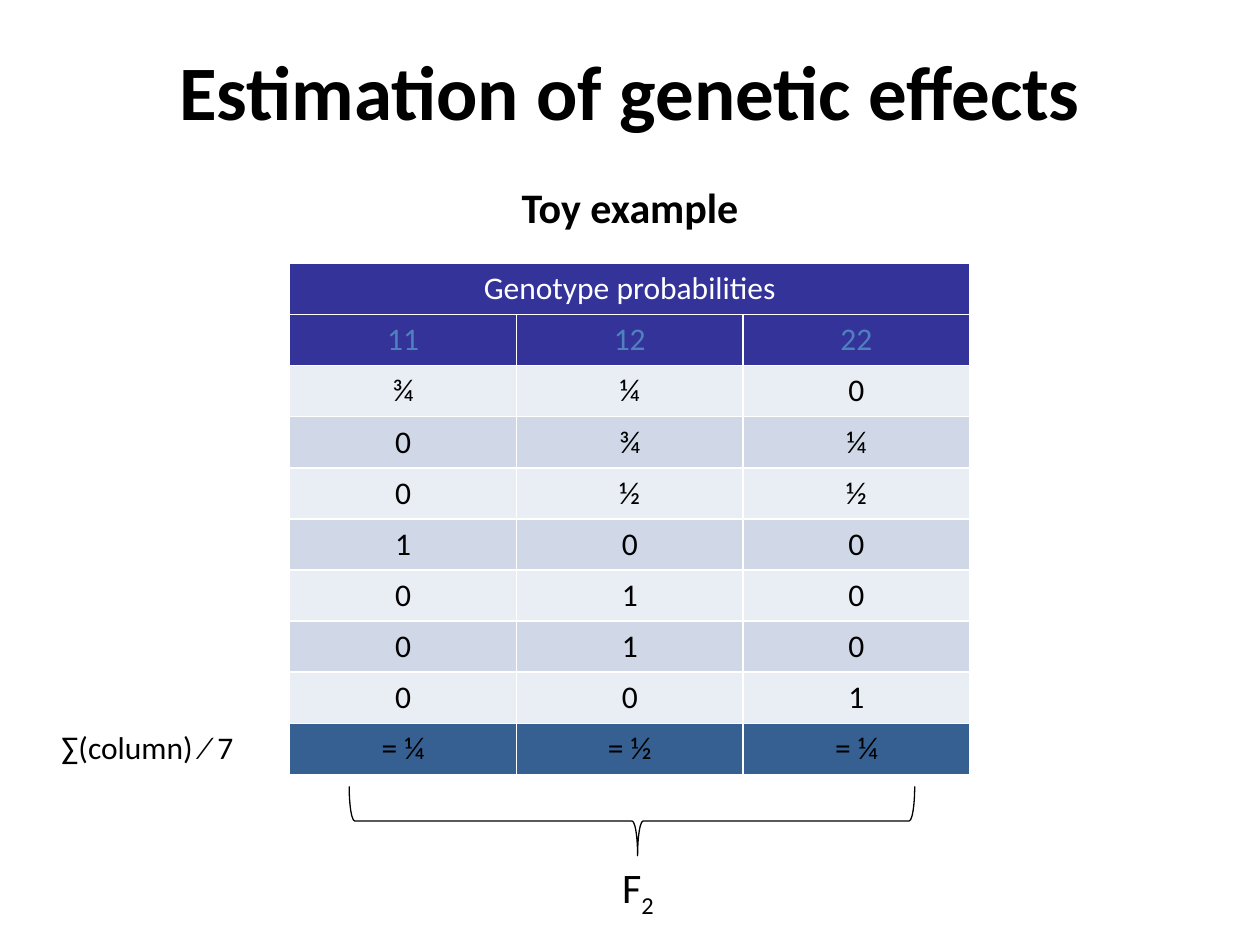
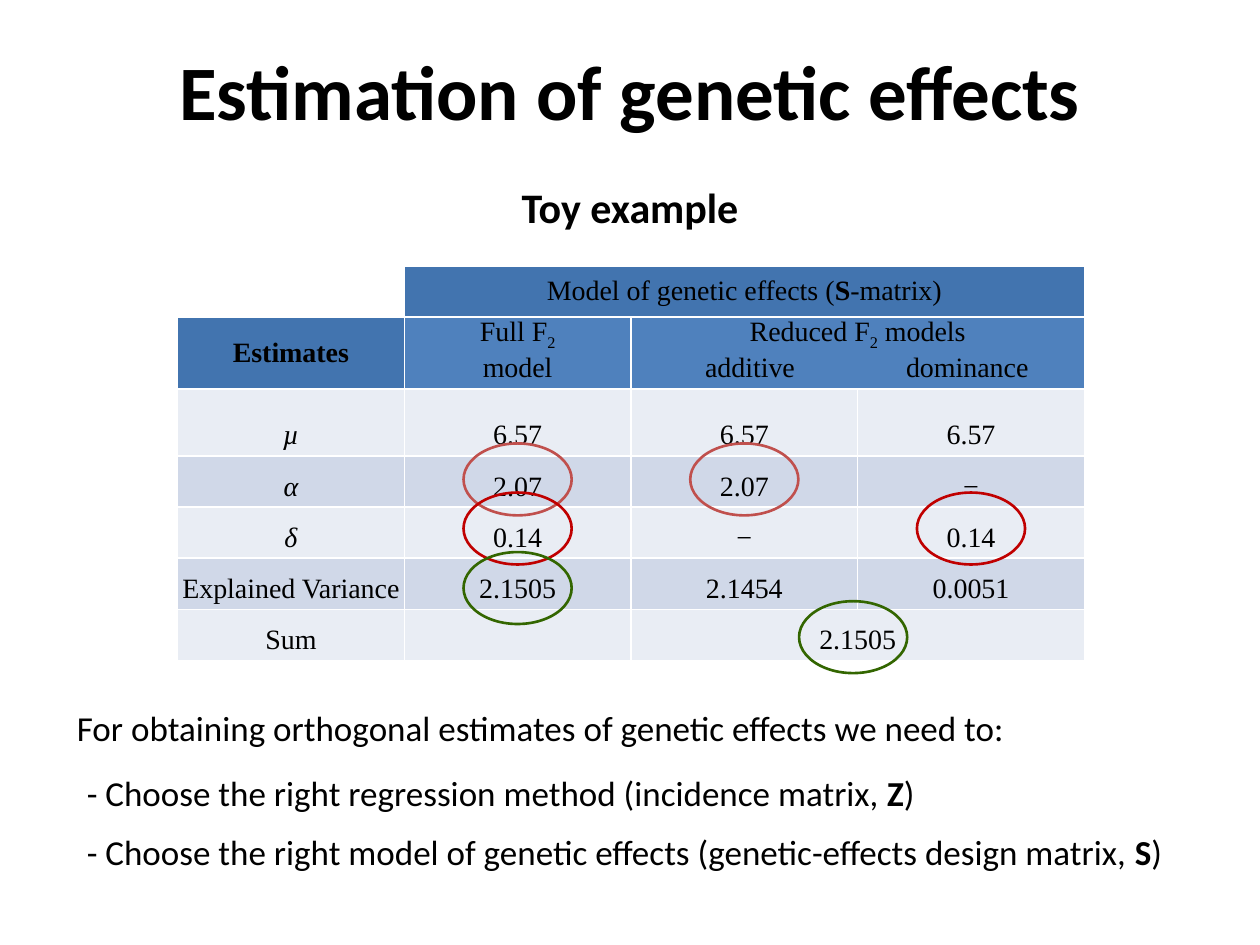
from dataclasses import dataclass

from lxml import etree
from pptx import Presentation
from pptx.dml.color import RGBColor
from pptx.enum.shapes import MSO_SHAPE
from pptx.enum.text import MSO_ANCHOR, PP_ALIGN
from pptx.oxml.ns import qn
from pptx.util import Cm, Pt

BRACE, ELLIPSE = MSO_SHAPE.LEFT_BRACE, MSO_SHAPE.OVAL
LEFT, CENTER = PP_ALIGN.LEFT, PP_ALIGN.CENTER
TOP, MIDDLE = MSO_ANCHOR.TOP, MSO_ANCHOR.MIDDLE


@dataclass(frozen=True)
class Theme:
    sans: str = "Calibri"
    serif: str = "Times New Roman"
    black: str = "000000"
    white: str = "FFFFFF"
    indigo: str = "333399"
    blue: str = "4F81BD"
    header_blue: str = "4274AF"
    total_blue: str = "376092"
    bands: tuple = ("E9EDF4", "D0D8E8")
    rose: str = "C0504D"
    red: str = "C00000"
    green: str = "336600"
    title_size: int = 44
    heading_size: int = 24
    note_size: int = 20
    label_size: int = 18
    estimate_size: int = 16


THEME = Theme()

# A text is a list of paragraphs, a paragraph a list of runs,
# and a run a plain string or a (string, variation) pair.
BOLD, ITALIC, SUBSCRIPT = "bold", "italic", "subscript"

TITLE = [["Estimation of genetic effects"]]
SUBTITLE = [["Toy example"]]

PROBABILITY_TITLE = "Genotype probabilities"
GENOTYPES = ("11", "12", "22")
PROBABILITIES = [
    ("¾", "¼", "0"),
    ("0", "¾", "¼"),
    ("0", "½", "½"),
    ("1", "0", "0"),
    ("0", "1", "0"),
    ("0", "1", "0"),
    ("0", "0", "1"),
]
COLUMN_MEANS = ("= ¼", "= ½", "= ¼")
MEAN_LABEL = [["∑(column) ∕ 7"]]
POPULATION = [["F", ("2", SUBSCRIPT)]]

MODEL_TITLE = [["Model of genetic effects (", ("S", BOLD), "-matrix)"]]
ESTIMATES_TITLE = [[("Estimates", BOLD)]]
FULL_MODEL = [["Full F", ("2", SUBSCRIPT)], ["model"]]
REDUCED_MODELS = [["Reduced F", ("2", SUBSCRIPT), " models"], ["\tadditive\tdominance"]]
ESTIMATES = [
    (("µ", ITALIC), "6.57", "6.57", "6.57"),
    (("α", ITALIC), "2.07", "2.07", "−"),
    (("δ", ITALIC), "0.14", "−", "0.14"),
    ("Explained Variance", "2.1505", "2.1454", "0.0051"),
    ("Sum", "", "2.1505", ""),
]
# Colour, then (table column, top in cm) of each ring
RINGS = [
    (THEME.rose, [(1, 8.94), (2, 8.94)]),
    (THEME.red, [(1, 9.93), (3, 9.93)]),
    (THEME.green, [(1, 11.13), (2.48, 12.12)]),
]
# Left and top in cm, then text
NOTES = [
    (1.3, 14.12, [["For obtaining orthogonal estimates of genetic effects we need to:"]]),
    (1.5, 15.42, [["- Choose the right regression method (incidence matrix, ",
                   ("Z", BOLD), ")"]]),
    (1.5, 16.61, [["- Choose the right model of genetic effects "
                   "(genetic-effects design matrix, ", ("S", BOLD), ")"]]),
]

COLUMN_WIDTH, ROW_HEIGHT = 4.57, 1.03
RING_WIDTH, RING_HEIGHT = 2.18, 1.45


def write(frame, text, size, font=THEME.sans, color=THEME.black, bold=False,
          align=LEFT, spacing=None):
    for index, runs in enumerate(text):
        paragraph = frame.paragraphs[0] if index == 0 else frame.add_paragraph()
        paragraph.alignment = align
        if spacing:
            paragraph.line_spacing = spacing
        for item in runs:
            content, variation = (item, None) if isinstance(item, str) else item
            run = paragraph.add_run()
            run.text = content
            formats = {"name": font, "size": Pt(size), "bold": bold or variation == BOLD,
                       "italic": variation == ITALIC}
            for name, value in formats.items():
                setattr(run.font, name, value)
            run.font.color.rgb = RGBColor.from_string(color)
            if variation == SUBSCRIPT:
                run._r.get_or_add_rPr().set("baseline", "-25000")


def add_text(slide, box, text, size, **formats):
    shape = slide.shapes.add_textbox(*map(Cm, box))
    shape.text_frame.word_wrap = True
    write(shape.text_frame, text, size, **formats)


def add_outline(shapes, kind, box, color, weight):
    shape = shapes.add_shape(kind, *map(Cm, box))
    shape.shadow.inherit = False
    shape.fill.background()
    shape.line.color.rgb = RGBColor.from_string(color)
    shape.line.width = Pt(weight)
    return shape


def add_table(slide, left, top, columns, row_heights):
    """Add a table of equal columns whose cells are all unfilled."""
    frame = slide.shapes.add_table(len(row_heights), columns, Cm(left), Cm(top),
                                   Cm(columns * COLUMN_WIDTH), Cm(sum(row_heights)))
    table = frame.table
    table.horz_banding = False
    for column in table.columns:
        column.width = Cm(COLUMN_WIDTH)
    for row, height in zip(table.rows, row_heights):
        row.height = Cm(height)
    for cell in table.iter_cells():
        cell.fill.background()
    return table


def fill_cell(cell, text, fill, size, inset=True, anchor=TOP, **formats):
    cell.fill.solid()
    cell.fill.fore_color.rgb = RGBColor.from_string(fill)
    cell.vertical_anchor = anchor
    if not inset:
        for side in ("left", "top", "right", "bottom"):
            setattr(cell, f"margin_{side}", 0)
    write(cell.text_frame, text, size, align=CENTER, **formats)


def center_on_tabs(paragraph, positions):
    paragraph.alignment = LEFT
    tabs = etree.SubElement(paragraph._p.get_or_add_pPr(), qn("a:tabLst"))
    for position in positions:
        etree.SubElement(tabs, qn("a:tab"), pos=str(Cm(position)), algn="ctr")


def add_slide(presentation):
    slide = presentation.slides.add_slide(presentation.slide_layouts[6])
    add_text(slide, (1.27, 0.76, 22.86, 3.18), TITLE, THEME.title_size,
             bold=True, align=CENTER)
    add_text(slide, (9.5, 3.53, 6.4, 1.27), SUBTITLE, THEME.heading_size,
             bold=True, align=CENTER)
    return slide


def build_probabilities(presentation):
    slide = add_slide(presentation)
    rows = [(GENOTYPES, THEME.indigo, THEME.blue)]
    rows += [(values, THEME.bands[index % 2], THEME.black)
             for index, values in enumerate(PROBABILITIES)]
    rows.append((COLUMN_MEANS, THEME.total_blue, THEME.black))

    table = add_table(slide, 1.27, 5.31, 5, [ROW_HEIGHT] * (len(rows) + 1))
    table.cell(0, 1).merge(table.cell(0, 3))
    fill_cell(table.cell(0, 1), [[PROBABILITY_TITLE]], THEME.indigo, THEME.label_size,
              color=THEME.white)
    for row, (values, fill, color) in enumerate(rows, start=1):
        for column, value in enumerate(values, start=1):
            fill_cell(table.cell(row, column), [[value]], fill, THEME.label_size,
                      color=color)

    brace = add_outline(slide.shapes, BRACE, (12.04, 10.85, 1.4, 11.4), THEME.black, 0.75)
    brace.rotation = 270
    brace.adjustments[0], brace.adjustments[1] = 0.08, 0.51
    add_text(slide, (12.29, 17.25, 1.98, 1.3), POPULATION, THEME.heading_size)
    add_text(slide, (0.99, 14.55, 4.95, 1.02), MEAN_LABEL, THEME.label_size)


def build_estimates(presentation):
    slide = add_slide(presentation)
    left = 3.58
    heights = [ROW_HEIGHT, 1.41, 1.35] + [ROW_HEIGHT] * 4
    table = add_table(slide, left, 5.36, 4, heights)
    style = {"size": THEME.estimate_size, "font": THEME.serif, "inset": False}

    for row, first, last in ((0, 1, 3), (1, 2, 3), (6, 2, 3)):
        table.cell(row, first).merge(table.cell(row, last))
    headers = [
        (0, 1, MODEL_TITLE, THEME.header_blue, MIDDLE),
        (1, 0, ESTIMATES_TITLE, THEME.header_blue, MIDDLE),
        (1, 1, FULL_MODEL, THEME.blue, TOP),
        (1, 2, REDUCED_MODELS, THEME.blue, TOP),
    ]
    for row, column, text, fill, anchor in headers:
        fill_cell(table.cell(row, column), text, fill, anchor=anchor, **style)
    center_on_tabs(table.cell(1, 2).text_frame.paragraphs[1], (2.4, 6.78))

    for index, values in enumerate(ESTIMATES):
        for column, value in enumerate(values):
            cell = table.cell(index + 2, column)
            if not cell.is_spanned:
                fill_cell(cell, [[value]] if value else [], THEME.bands[index % 2],
                          spacing=1.5 if index else 2.0, **style)

    for color, places in RINGS:
        group = slide.shapes.add_group_shape()
        for column, top in places:
            ring_left = left + (column + 0.5) * COLUMN_WIDTH - RING_WIDTH / 2
            add_outline(group.shapes, ELLIPSE, (ring_left, top, RING_WIDTH, RING_HEIGHT),
                        color, 1.5)

    for note_left, top, text in NOTES:
        add_text(slide, (note_left, top, 22.4, 1.12), text, THEME.note_size)


def main():
    presentation = Presentation()
    presentation.slide_width, presentation.slide_height = Cm(25.4), Cm(19.05)
    build_probabilities(presentation)
    build_estimates(presentation)
    presentation.save("out.pptx")


if __name__ == "__main__":
    main()
